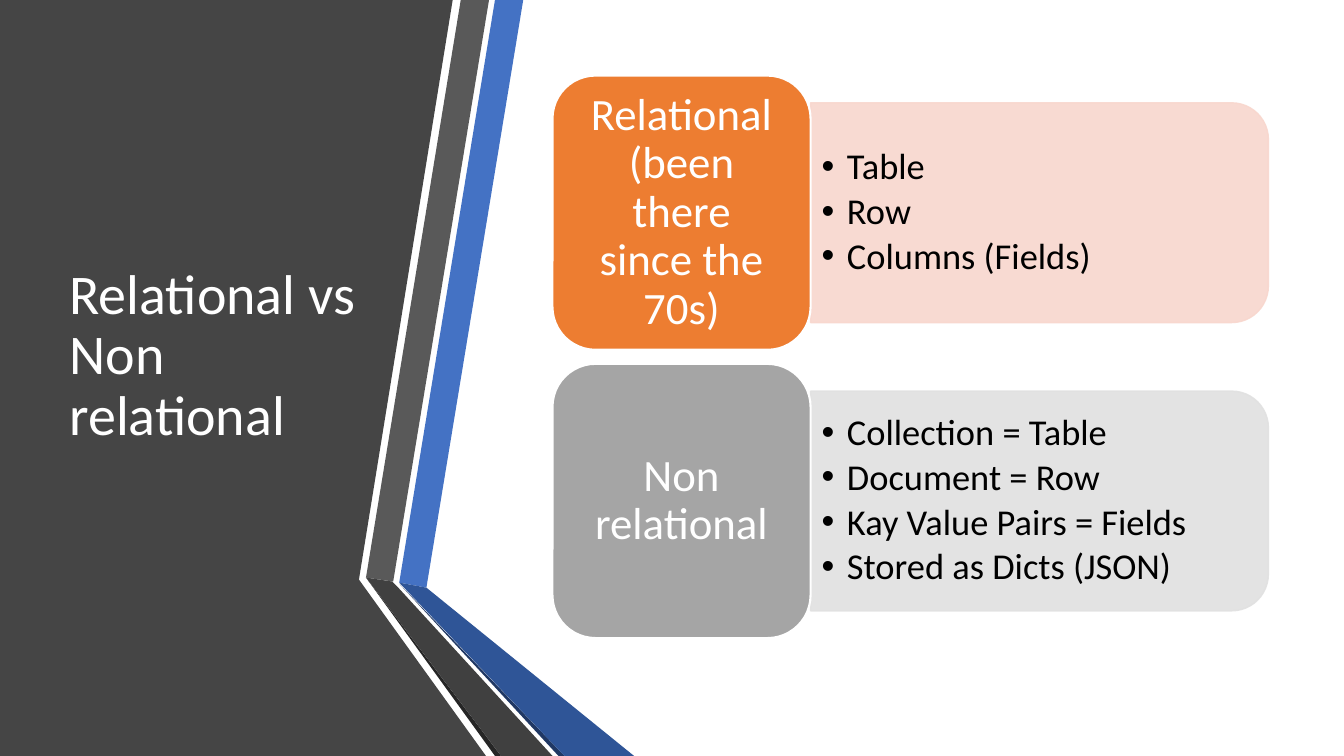
from lxml import etree
from pptx import Presentation
from pptx.dml.color import RGBColor
from pptx.enum.shapes import MSO_SHAPE
from pptx.enum.text import MSO_ANCHOR, MSO_AUTO_SIZE, PP_ALIGN
from pptx.oxml.ns import qn
from pptx.util import Inches, Pt

ROUNDED_CARD = MSO_SHAPE.ROUNDED_RECTANGLE
ROUNDED_END = MSO_SHAPE.ROUND_2_SAME_RECTANGLE
MIDDLE = MSO_ANCHOR.MIDDLE
NO_AUTOFIT = MSO_AUTO_SIZE.NONE
LEFT, CENTER = PP_ALIGN.LEFT, PP_ALIGN.CENTER

WHITE = RGBColor(0xFF, 0xFF, 0xFF)
BLACK = RGBColor(0x00, 0x00, 0x00)
CHARCOAL = RGBColor(0x45, 0x45, 0x45)
BLUE = RGBColor(0x44, 0x72, 0xC4)
GRAY = RGBColor(0x59, 0x59, 0x59)
NEAR_BLACK = RGBColor(0x26, 0x26, 0x26)
NAVY = RGBColor(0x20, 0x38, 0x64)
DARK_BLUE = RGBColor(0x2F, 0x55, 0x97)
DARK_GRAY = RGBColor(0x40, 0x40, 0x40)
ORANGE = RGBColor(0xED, 0x7D, 0x31)
PEACH = RGBColor(0xF8, 0xD7, 0xCE)
SILVER = RGBColor(0xA5, 0xA5, 0xA5)
PALE_GRAY = RGBColor(0xE1, 0xE1, 0xE1)

SLIDE_WIDTH, SLIDE_HEIGHT = 13.33, 7.5
TWO_CONTENT_LAYOUT = 3
CARD_LEFT, CARD_TOP, CARD_WIDTH, CARD_HEIGHT = 5.48, 0.75, 2.56, 2.72
CARD_PITCH = 2.86
PANEL_WIDTH, PANEL_HEIGHT = 4.54, 2.18
LIST_WIDTH, LIST_HEIGHT = 4.44, 1.97

BANDS = [
    (CHARCOAL, [(0, 0), (4.49, 0), (3.56, 5.75), (4.82, 7.5), (0, 7.5)]),
    (BLUE, [(3.96, 5.78), (4.23, 5.83), (5.19, 0), (4.91, 0)]),
    (GRAY, [(4.85, 0), (4.57, 0), (3.63, 5.73), (3.9, 5.77)]),
    (NEAR_BLACK, [(3.63, 5.73), (4.91, 7.5), (4.97, 7.5)]),
    (NAVY, [(3.96, 5.79), (5.54, 7.5), (5.6, 7.5)]),
    (DARK_BLUE, [(3.96, 5.78), (5.6, 7.5), (6.29, 7.5), (4.23, 5.83)]),
    (DARK_GRAY, [(5.48, 7.5), (3.95, 5.83), (3.89, 5.77), (3.63, 5.73), (4.97, 7.5)]),
]

DATABASE_KINDS = [
    ("Relational (been there since the 70s)", ORANGE, PEACH,
     ["Table", "Row", "Columns (Fields)"]),
    ("Non relational", SILVER, PALE_GRAY,
     ["Collection = Table", "Document = Row", "Kay Value Pairs = Fields",
      "Stored as Dicts (JSON)"]),
]


class SlideBuilder:
    font_name = "Calibri"
    line_spacing = 0.9

    def __init__(self, slide):
        self.slide = slide

    def band(self, color, points):
        corners = [(Inches(x), Inches(y)) for x, y in points]
        outline = self.slide.shapes.build_freeform(*corners[0])
        outline.add_line_segments(corners[1:])
        self.paint(outline.convert_to_shape(), color)

    def paint(self, shape, color, line_color=None, line_width=1):
        shape.shadow.inherit = False
        shape.fill.solid()
        shape.fill.fore_color.rgb = color
        if line_color is None:
            shape.line.fill.background()
        else:
            shape.line.color.rgb = line_color
            shape.line.width = Pt(line_width)

    def add_text(self, shape, lines, size, color, alignment, margins):
        frame = shape.text_frame
        frame.word_wrap = True
        frame.auto_size = NO_AUTOFIT
        frame.vertical_anchor = MIDDLE
        frame.margin_left = frame.margin_right = Inches(margins[0])
        frame.margin_top = frame.margin_bottom = Inches(margins[1])
        for index, line in enumerate(lines):
            paragraph = frame.add_paragraph() if index else frame.paragraphs[0]
            paragraph.alignment = alignment
            paragraph.line_spacing = self.line_spacing
            paragraph.space_before = Pt(0)
            run = paragraph.add_run()
            run.text = line
            run.font.name = self.font_name
            run.font.size = Pt(size)
            run.font.color.rgb = color
        return frame.paragraphs

    def place(self, placeholder, left, top, width, height):
        placeholder.left, placeholder.top = Inches(left), Inches(top)
        placeholder.width, placeholder.height = Inches(width), Inches(height)
        placeholder.element.getparent().append(placeholder.element)

    def title(self, text, left, top, width, height):
        title = self.slide.shapes.title
        self.place(title, left, top, width, height)
        self.add_text(title, [text], 40, WHITE, LEFT, (0.1, 0.05))

    def panel(self, left, top, width, height, color):
        inset = (width - height) / 2
        panel = self.slide.shapes.add_shape(
            ROUNDED_END, Inches(left + inset), Inches(top - inset),
            Inches(height), Inches(width))
        panel.rotation = 90
        self.paint(panel, color, color)
        for tint in panel.element.spPr.iter(qn("a:srgbClr")):
            etree.SubElement(tint, qn("a:alpha"), val="90000")

    def card(self, text, left, top, width, height, color):
        card = self.slide.shapes.add_shape(
            ROUNDED_CARD, Inches(left), Inches(top), Inches(width), Inches(height))
        self.paint(card, color, WHITE, 1.5)
        self.add_text(card, [text], 32, WHITE, CENTER, (0.25, 0.2))

    def bullets(self, placeholder, items, left, top, width, height):
        self.place(placeholder, left, top, width, height)
        for paragraph in self.add_text(placeholder, items, 26, BLACK, LEFT, (0.11, 0.05)):
            paragraph.space_after = Pt(3.9)
            properties = paragraph._p.get_or_add_pPr()
            properties.set("marL", str(Inches(0.25)))
            properties.set("indent", str(Inches(-0.25)))
            etree.SubElement(properties, qn("a:buChar"), char="\u2022")


presentation = Presentation()
presentation.slide_width = Inches(SLIDE_WIDTH)
presentation.slide_height = Inches(SLIDE_HEIGHT)
slide = presentation.slides.add_slide(presentation.slide_layouts[TWO_CONTENT_LAYOUT])
list_placeholders = [slide.placeholders[1], slide.placeholders[2]]
builder = SlideBuilder(slide)

for band_color, band_points in BANDS:
    builder.band(band_color, band_points)
builder.title("Relational vs Non relational", 0.59, 0.75, 3.04, 5.58)

panel_left = CARD_LEFT + CARD_WIDTH
for row, (name, card_color, panel_color, items) in enumerate(DATABASE_KINDS):
    card_top = CARD_TOP + row * CARD_PITCH
    panel_top = card_top + (CARD_HEIGHT - PANEL_HEIGHT) / 2
    list_top = card_top + (CARD_HEIGHT - LIST_HEIGHT) / 2
    builder.panel(panel_left, panel_top, PANEL_WIDTH, PANEL_HEIGHT, panel_color)
    builder.bullets(list_placeholders[row], items, panel_left, list_top,
                    LIST_WIDTH, LIST_HEIGHT)
    builder.card(name, CARD_LEFT, card_top, CARD_WIDTH, CARD_HEIGHT, card_color)

presentation.save("out.pptx")
